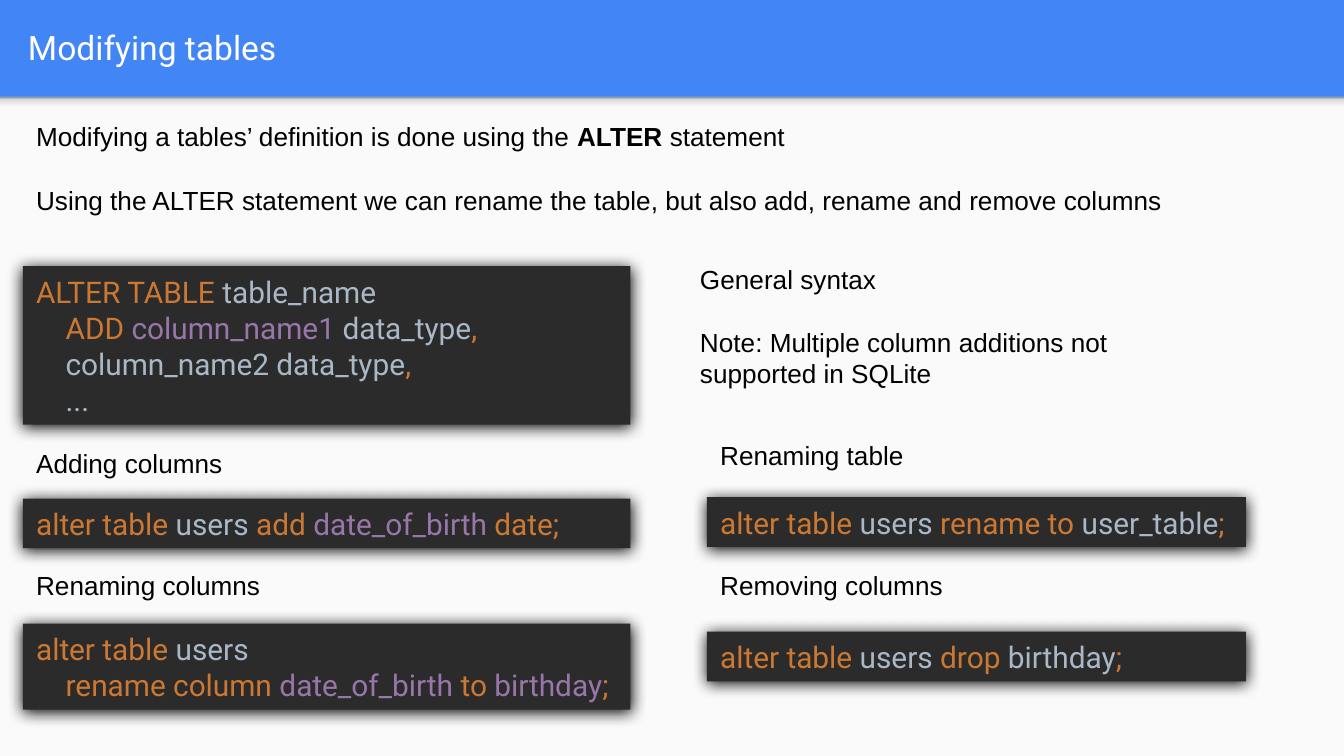
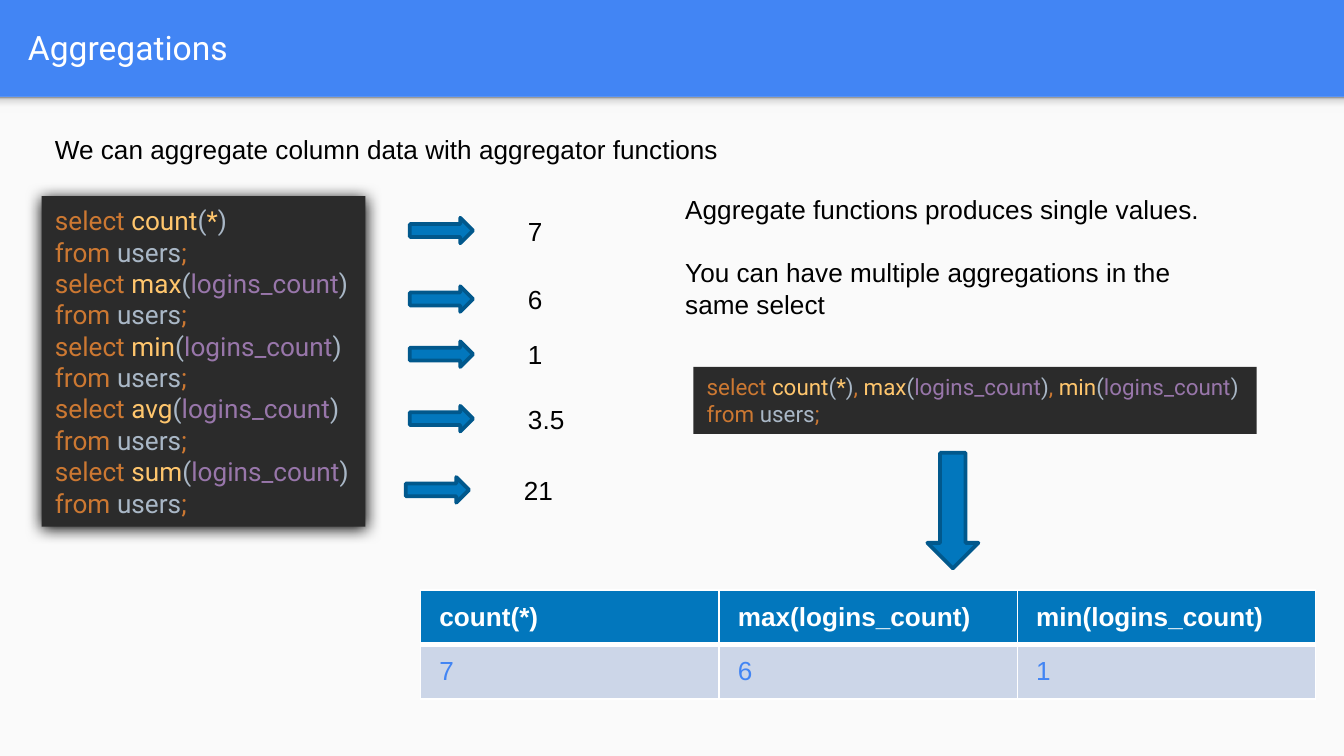
from lxml import etree
from pptx import Presentation
from pptx.dml.color import RGBColor
from pptx.enum.shapes import MSO_SHAPE
from pptx.enum.text import MSO_ANCHOR, PP_ALIGN
from pptx.oxml import parse_xml
from pptx.oxml.ns import qn
from pptx.util import Inches, Pt

RECTANGLE = MSO_SHAPE.RECTANGLE
RIGHT_ARROW = MSO_SHAPE.RIGHT_ARROW
DOWN_ARROW = MSO_SHAPE.DOWN_ARROW
TOP, MIDDLE = MSO_ANCHOR.TOP, MSO_ANCHOR.MIDDLE
LEFT = PP_ALIGN.LEFT

COLORS = {
    "band": "4285F4", "page": "FAFAFA", "white": "FFFFFF", "text": "000000",
    "code": "2B2B2B", "keyword": "CC7832", "plain": "A9B7C6",
    "column": "9876AA", "function": "FFC66D",
    "accent": "0277BD", "accent_edge": "01588C", "row": "CCD6E8",
}
BODY_FONT, CODE_FONT = "Arial", "Roboto"
BODY_SIZE = 14
WIDTH, BAND_HEIGHT = 10, 0.72
HEIGHT = WIDTH * 9 / 16
DRAWING = 'xmlns:a="http://schemas.openxmlformats.org/drawingml/2006/main"'
BAND_SHADE = [(0, "F9F9F9"), (36, "F9F9F9"), (80, "DEDEDE"), (100, "999999")]


def rgb(name):
    return RGBColor.from_string(COLORS[name])


def inches(box):
    return [Inches(length) for length in box]


# Text: a line is a string, or a list of (role, words) pairs;
# a role is a colour name or "bold"
def write(frame, lines, font=BODY_FONT, size=BODY_SIZE, color="text",
          bold=False, anchor=TOP, gap=0, indent=0):
    frame.word_wrap = True
    frame.vertical_anchor = anchor
    for number, line in enumerate(lines):
        paragraph = frame.paragraphs[0] if number == 0 else frame.add_paragraph()
        paragraph.alignment = LEFT
        paragraph.font.name = font
        paragraph.font.size = Pt(size)
        paragraph.font.bold = bold
        paragraph.font.color.rgb = rgb(color)
        if number:
            paragraph.space_before = Pt(gap)
            if indent:
                properties = paragraph._p.get_or_add_pPr()
                properties.set("marL", str(Inches(indent)))
                properties.set("indent", "0")
        for role, words in [(color, line)] if isinstance(line, str) else line:
            run = paragraph.add_run()
            run.text = words
            if role == "bold":
                run.font.bold = True
            elif role != color:
                run.font.color.rgb = rgb(role)


def add_text(slide, box, lines, **style):
    write(slide.shapes.add_textbox(*inches(box)).text_frame, lines, **style)


def add_block(slide, kind, box, fill, edge=None):
    block = slide.shapes.add_shape(kind, *inches(box))
    block.shadow.inherit = False
    block.fill.solid()
    block.fill.fore_color.rgb = rgb(fill)
    if edge:
        block.line.color.rgb = rgb(edge)
        block.line.width = Pt(2)
    else:
        block.line.fill.background()
    return block


def add_arrow(slide, kind, box):
    add_block(slide, kind, box, "accent", "accent_edge")


def add_code(slide, box, lines, size=16, indent=0.22, glow=True):
    panel = add_block(slide, RECTANGLE, box, "code")
    if glow:
        effects = panel._element.spPr.find(qn("a:effectLst"))
        effects.append(parse_xml(
            f'<a:outerShdw {DRAWING} blurRad="{Pt(8.5)}" dist="{Pt(1)}" '
            'dir="5400000" algn="t" rotWithShape="0">'
            '<a:srgbClr val="000000"/></a:outerShdw>'))
    write(panel.text_frame, lines, font=CODE_FONT, size=size, color="plain",
          anchor=MIDDLE, indent=indent)


# Shared frame: blue band, its soft lower edge, page and title
def add_titled_slide(deck, title):
    slide = deck.slides.add_slide(deck.slide_layouts[6])
    slide.background.fill.solid()
    slide.background.fill.fore_color.rgb = rgb("band")
    add_block(slide, RECTANGLE,
              (0, BAND_HEIGHT, WIDTH, HEIGHT - BAND_HEIGHT), "page")
    shade = add_block(slide, RECTANGLE, (0, BAND_HEIGHT, WIDTH, 0.12), "page")
    stops = "".join(f'<a:gs pos="{at * 1000}"><a:srgbClr val="{color}"/></a:gs>'
                    for at, color in BAND_SHADE)
    properties = shade._element.spPr
    properties.replace(properties.find(qn("a:solidFill")), parse_xml(
        f'<a:gradFill {DRAWING}><a:gsLst>{stops}</a:gsLst>'
        '<a:lin ang="16200000" scaled="0"/></a:gradFill>'))
    add_text(slide, (0.11, 0.02, 9.65, 0.66), [title], font=CODE_FONT,
             size=18, color="white", anchor=MIDDLE)
    return slide


# A caption at the top of the box, code at its bottom
def add_example(slide, box, caption, lines, code_height=0.37):
    left, top, width, height = box
    add_text(slide, (left, top, width, 0.34), [caption])
    add_code(slide, (left, top + height - code_height, width, code_height), lines)


def modifying_tables(deck):
    slide = add_titled_slide(deck, "Modifying tables")
    add_text(slide, (0.17, 0.85, 9.11, 0.81), [
        [("text", "Modifying a tables’ definition is done using the "),
         ("bold", "ALTER "), ("text", "statement")],
        "Using the ALTER statement we can rename the table, "
        "but also add, rename and remove columns",
    ], gap=17)

    # General syntax
    add_code(slide, (0.17, 1.98, 4.52, 1.18), [
        [("keyword", "ALTER TABLE "), ("plain", "table_name")],
        [("keyword", "ADD "), ("column", "column_name1 "),
         ("plain", "data_type"), ("keyword", ",")],
        [("plain", "column_name2 data_type"), ("keyword", ",")],
        "...",
    ])
    add_text(slide, (5.11, 1.91, 3.79, 1.04), [
        "General syntax",
        "Note: Multiple column additions not supported in SQLite",
    ], gap=17)

    # Examples
    alter_users = [("keyword", "alter table "), ("plain", "users ")]
    add_example(slide, (0.17, 3.28, 4.52, 0.8), "Adding columns", [
        alter_users + [("keyword", "add "), ("column", "date_of_birth "),
                       ("keyword", "date;")]])
    add_example(slide, (0.17, 4.19, 4.52, 1.09), "Renaming columns", [
        [("keyword", "alter table "), ("plain", "users")],
        [("keyword", "rename column "), ("column", "date_of_birth "),
         ("keyword", "to "), ("column", "birthday"), ("keyword", ";")],
    ], code_height=0.64)
    add_example(slide, (5.26, 3.22, 4.01, 0.85), "Renaming table", [
        alter_users + [("keyword", "rename to "), ("plain", "user_table"),
                       ("keyword", ";")]])
    add_example(slide, (5.26, 4.19, 4.01, 0.88), "Removing columns", [
        alter_users + [("keyword", "drop "), ("plain", "birthday"),
                       ("keyword", ";")]])


def call(function, argument="logins_count"):
    role = "function" if argument == "*" else "column"
    return [("function", function), ("plain", "("), (role, argument),
            ("plain", ")")]


def set_borders(cell, **widths):
    properties = cell._tc.get_or_add_tcPr()
    for position, side in enumerate("LRTB"):
        border = etree.Element(qn(f"a:ln{side}"), w=str(Pt(widths.get(side, 1))))
        fill = etree.SubElement(border, qn("a:solidFill"))
        etree.SubElement(fill, qn("a:srgbClr"), val=COLORS["white"])
        properties.insert(position, border)


def add_result_table(slide, box, rows):
    left, top, width, height = box
    table = slide.shapes.add_table(len(rows), len(rows[0]), *inches(box)).table
    table.horz_banding = False
    for column in table.columns:
        column.width = Inches(width / len(rows[0]))
    for number, values in enumerate(rows):
        header = number == 0
        table.rows[number].height = Inches(height / len(rows))
        for cell, value in zip(table.rows[number].cells, values):
            cell.fill.solid()
            cell.fill.fore_color.rgb = rgb("accent" if header else "row")
            cell.margin_left = cell.margin_right = Inches(0.14)
            cell.margin_top = cell.margin_bottom = Inches(0.06)
            cell.vertical_anchor = MIDDLE
            set_borders(cell, **({"B": 3} if header else {"T": 3}))
            paragraph = cell.text_frame.paragraphs[0]
            paragraph.text = value
            font = paragraph.runs[0].font
            font.name, font.size, font.bold = BODY_FONT, Pt(BODY_SIZE), header
            font.color.rgb = rgb("white" if header else "band")


# An arrow and the value it leads to
def add_result(slide, left, top, value):
    add_arrow(slide, RIGHT_ARROW, (left, top, 0.47, 0.19))
    add_text(slide, (left + 0.78, top - 0.07, 0.72, 0.34), [value])


def aggregations(deck):
    slide = add_titled_slide(deck, "Aggregations")
    add_text(slide, (0.31, 0.94, 9.26, 1.04),
             ["We can aggregate column data with aggregator functions"])

    # Single aggregations and their results
    select = [("keyword", "select ")]
    from_users = [("keyword", "from "), ("plain", "users"), ("keyword", ";")]
    queries = [call("count", "*")] + [call(name)
                                      for name in ("max", "min", "avg", "sum")]
    add_code(slide, (0.31, 1.46, 2.41, 2.46),
             [line for query in queries for line in (select + query, from_users)],
             size=14, indent=0)
    for left, top, value in [(3.05, 1.62, "7"), (3.05, 2.13, "6"),
                             (3.05, 2.54, "1"), (3.05, 3.02, "3.5"),
                             (3.02, 3.55, "21")]:
        add_result(slide, left, top, value)

    # Several aggregations in one select
    add_text(slide, (5, 1.39, 4.21, 1.04), [
        "Aggregate functions produces single values.",
        "You can have multiple aggregations in the same select",
    ], gap=17)
    comma = [("keyword", ", ")]
    add_code(slide, (5.16, 2.73, 4.19, 0.5), [
        select + queries[0] + comma + queries[1] + comma + queries[2],
        from_users,
    ], size=12, indent=0, glow=False)
    add_result_table(slide, (3.13, 4.39, 6.66, 0.81), [
        ["count(*)", "max(logins_count)", "min(logins_count)"],
        ["7", "6", "1"],
    ])
    add_arrow(slide, DOWN_ARROW, (6.9, 3.37, 0.38, 0.86))


def main():
    deck = Presentation()
    deck.slide_width, deck.slide_height = inches((WIDTH, HEIGHT))
    modifying_tables(deck)
    aggregations(deck)
    deck.save("out.pptx")


if __name__ == "__main__":
    main()
